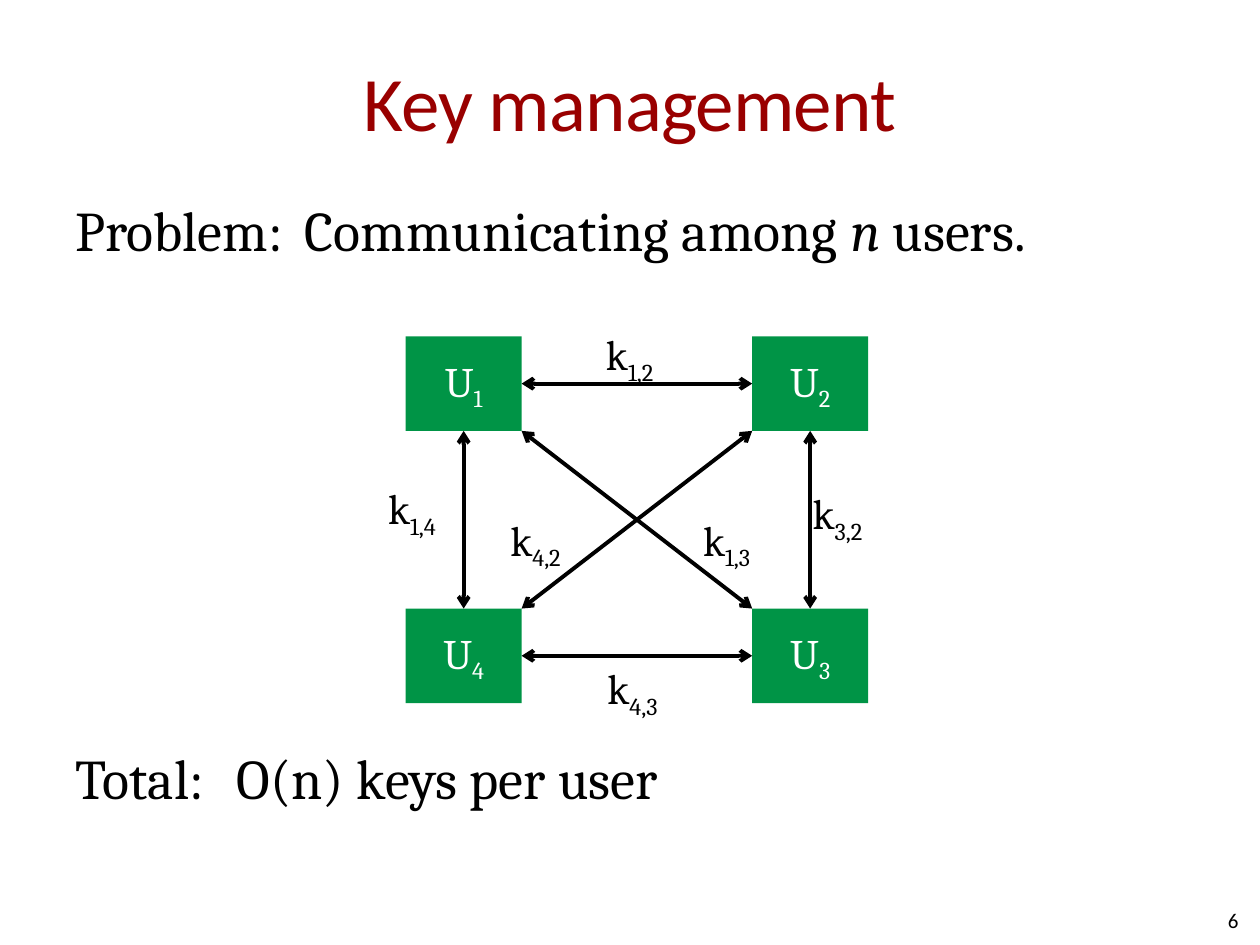
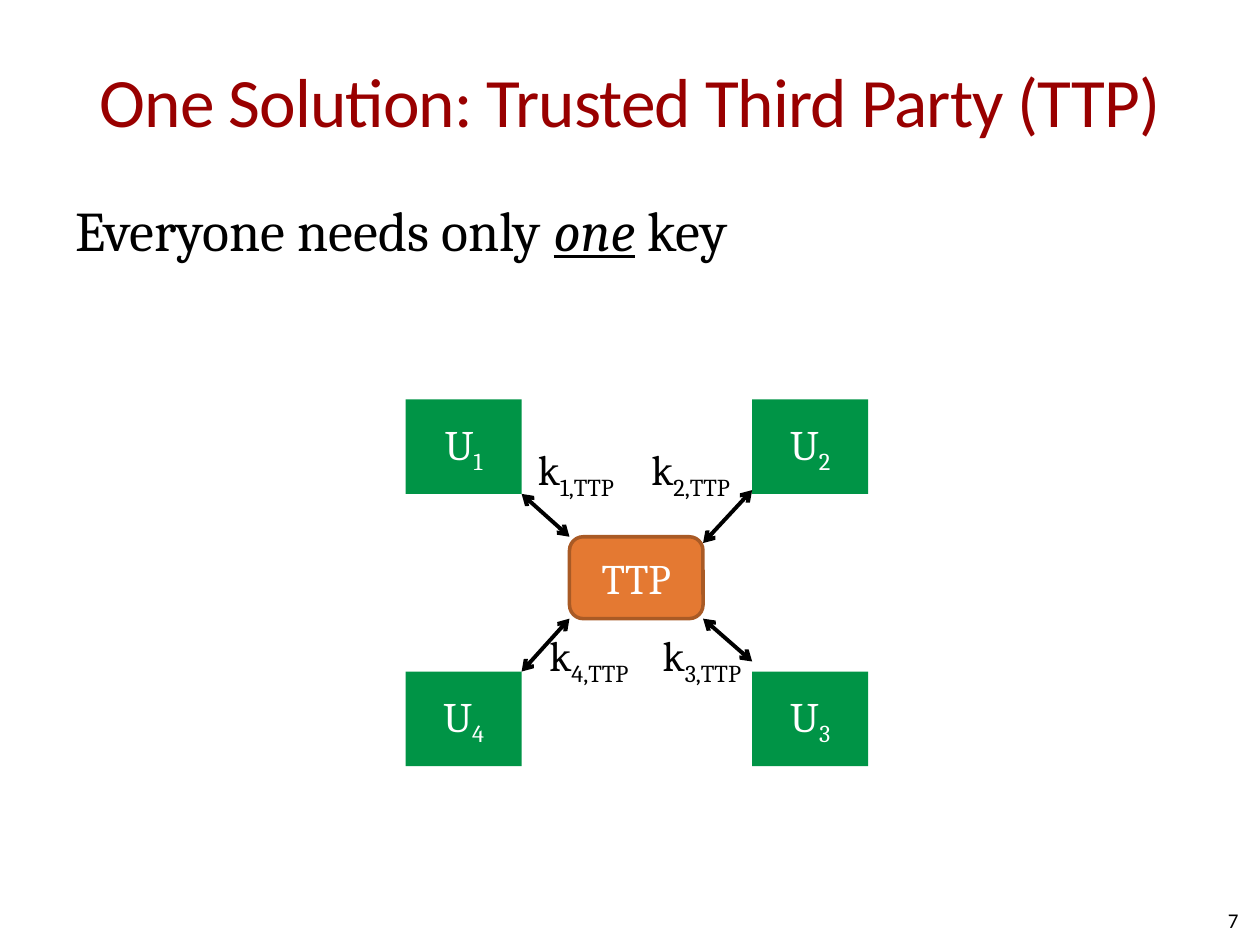
from dataclasses import dataclass

import lxml.etree
import pptx
import pptx.dml.color
import pptx.enum.shapes
import pptx.enum.text
import pptx.oxml.ns
import pptx.util

SHAPE = pptx.enum.shapes.MSO_SHAPE
ALIGN = pptx.enum.text.PP_ALIGN
ANCHOR = pptx.enum.text.MSO_ANCHOR
qn = pptx.oxml.ns.qn

# Shared style
RED, GREEN, ORANGE, BROWN = "990000", "009446", "E47932", "A95A25"
BLACK, WHITE = "000000", "FFFFFF"
HEAD_FONT, BODY_FONT = "Calibri", "Cambria"

# The slide is a grid of 100 columns by 75 rows
prs = pptx.Presentation()
prs.slide_width = pptx.util.Inches(10)
prs.slide_height = pptx.util.Inches(7.5)
COL, ROW = prs.slide_width / 100, prs.slide_height / 75

TOP, BOTTOM, LEFT, RIGHT = 0, 2, 1, 3  # connection sites of a rectangle


@dataclass
class Box:
    x: float
    y: float
    w: float
    h: float

    def emu(self) -> tuple[int, ...]:
        return (round(self.x * COL), round(self.y * ROW),
                round(self.w * COL), round(self.h * ROW))

    def corner(self, right: bool, bottom: bool, nudge: float = 0) -> tuple[float, float]:
        return self.x + self.w * right, self.y + self.h * bottom + nudge


@dataclass
class Piece:
    text: str
    italic: bool = False
    underline: bool = False
    subscript: bool = False


@dataclass
class Line:
    pieces: list[Piece]
    tab: float = 0      # tab stop, in columns
    before: float = 0   # space above, in points


@dataclass
class KeyLabel:
    x: float
    y: float
    index: str


@dataclass
class Spoke:
    user: int
    right: bool
    bottom: bool
    user_nudge: float = 0
    ttp_nudge: float = 0


TITLE_BOX = Box(5, 1.7, 90, 12.5)
BODY_BOX = Box(5, 15, 90, 52)
NUMBER_BOX = Box(75, 71, 23.3, 4)
TTP_BOX = Box(45.2, 42.6, 10.6, 6.5)


def rgb(value: str) -> pptx.dml.color.RGBColor:
    return pptx.dml.color.RGBColor.from_string(value)


# Text helpers
def write(p, pieces: list[Piece], size: float, font: str, color: str) -> None:
    for piece in pieces:
        r = p.add_run()
        r.text = piece.text
        r.font.size = pptx.util.Pt(size)
        r.font.name = font
        r.font.color.rgb = rgb(color)
        if piece.italic:
            r.font.italic = True
        if piece.underline:
            r.font.underline = True
        if piece.subscript:
            r.font._element.set("baseline", "-25000")


def indexed(letter: str, index: str) -> list[Piece]:
    return [Piece(letter), Piece(index, subscript=True)]


def no_insets(tf) -> None:
    tf.margin_left = tf.margin_right = tf.margin_top = tf.margin_bottom = 0


def add_line_of_text(slide, box: Box, text: str, size: float, color: str, align):
    """One vertically centred line in the heading font."""
    tf = slide.shapes.add_textbox(*box.emu()).text_frame
    no_insets(tf)
    tf.word_wrap = True
    tf.vertical_anchor = ANCHOR.MIDDLE
    p = tf.paragraphs[0]
    p.alignment = align
    write(p, [Piece(text)], size, HEAD_FONT, color)
    return p.runs[0]


def add_body(slide, lines: list[Line]) -> None:
    tf = slide.shapes.add_textbox(*BODY_BOX.emu()).text_frame
    tf.word_wrap = True
    for i, line in enumerate(lines):
        p = tf.add_paragraph() if i else tf.paragraphs[0]
        if line.before:
            p.space_before = pptx.util.Pt(line.before)
        if line.tab:
            tabs = lxml.etree.SubElement(p._p.get_or_add_pPr(), qn("a:tabLst"))
            lxml.etree.SubElement(tabs, qn("a:tab"), pos=str(round(line.tab * COL)), algn="l")
        write(p, line.pieces, 32, BODY_FONT, BLACK)


def add_key_label(slide, label: KeyLabel, width: float) -> None:
    tf = slide.shapes.add_textbox(*Box(label.x, label.y, width, 4).emu()).text_frame
    no_insets(tf)
    tf.word_wrap = False
    tf.auto_size = pptx.enum.text.MSO_AUTO_SIZE.SHAPE_TO_FIT_TEXT
    write(tf.paragraphs[0], indexed("k", label.index), 24, BODY_FONT, BLACK)


# Diagram helpers
def add_node(slide, kind, box: Box, pieces: list[Piece], fill: str, line: str = ""):
    sp = slide.shapes.add_shape(kind, *box.emu())
    sp.shadow.inherit = False
    sp.fill.solid()
    sp.fill.fore_color.rgb = rgb(fill)
    if line:
        sp.line.color.rgb = rgb(line)
        sp.line.width = pptx.util.Pt(2)
    else:
        sp.line.fill.background()
    tf = sp.text_frame
    no_insets(tf)
    tf.vertical_anchor = ANCHOR.MIDDLE
    tf.paragraphs[0].alignment = ALIGN.CENTER
    write(tf.paragraphs[0], pieces, 24, BODY_FONT, WHITE)
    return sp


def user_boxes(top: float) -> list[Box]:
    """Users 1 to 4, clockwise from the upper left."""
    left, right, bottom = 32.2, 59.7, top + 21.6
    places = [(left, top), (right, top), (right, bottom), (left, bottom)]
    return [Box(x, y, 9.2, 7.5) for x, y in places]


def add_users(slide, boxes: list[Box]) -> list:
    return [add_node(slide, SHAPE.RECTANGLE, box, indexed("U", str(n)), GREEN)
            for n, box in enumerate(boxes, 1)]


def add_arrow(slide, start: tuple[float, float] = (0, 0), end: tuple[float, float] = (0, 0)):
    cx = slide.shapes.add_connector(
        pptx.enum.shapes.MSO_CONNECTOR.STRAIGHT,
        round(start[0] * COL), round(start[1] * ROW),
        round(end[0] * COL), round(end[1] * ROW))
    cx.line.color.rgb = rgb(BLACK)
    cx.line.width = pptx.util.Pt(2.25)
    ln = cx.line._get_or_add_ln()
    for tag in ("a:headEnd", "a:tailEnd"):
        lxml.etree.SubElement(ln, qn(tag), type="arrow")
    lxml.etree.SubElement(cx._element.spPr, qn("a:effectLst"))
    return cx


def join(slide, first, first_site: int, second, second_site: int) -> None:
    cx = add_arrow(slide)
    cx.begin_connect(first, first_site)
    cx.end_connect(second, second_site)


def add_slide(title: str, title_size: float, number: int, body: list[Line]):
    slide = prs.slides.add_slide(prs.slide_layouts[6])
    r = add_line_of_text(slide, TITLE_BOX, title, title_size, RED, ALIGN.CENTER)
    r.font._element.set("spc", "-50")
    add_body(slide, body)
    add_line_of_text(slide, NUMBER_BOX, str(number), 12, BLACK, ALIGN.RIGHT)
    return slide


def key_management() -> None:
    slide = add_slide("Key management", 44, 6, [
        Line([Piece("Problem:\tCommunicating among "), Piece("n", italic=True),
              Piece(" users.")], tab=18.2),
        Line([Piece("Total:\tO(n) keys per user")], tab=12.8, before=275),
    ])
    boxes = user_boxes(26.7)
    u1, u2, u3, u4 = add_users(slide, boxes)

    # Sides of the square, then its diagonals
    join(slide, u1, BOTTOM, u4, TOP)
    join(slide, u1, RIGHT, u2, LEFT)
    join(slide, u4, RIGHT, u3, LEFT)
    join(slide, u3, TOP, u2, BOTTOM)
    add_arrow(slide, boxes[1].corner(False, True), boxes[3].corner(True, False))
    add_arrow(slide, boxes[0].corner(True, True), boxes[2].corner(False, False))

    for label in (KeyLabel(48.1, 26.1, "1,2"), KeyLabel(30.8, 38.3, "1,4"),
                  KeyLabel(64.5, 38.7, "3,2"), KeyLabel(48.2, 52.6, "4,3"),
                  KeyLabel(40.5, 40.8, "4,2"), KeyLabel(55.8, 40.8, "1,3")):
        add_key_label(slide, label, 4.7)


def trusted_third_party() -> None:
    slide = add_slide("One Solution: Trusted Third Party (TTP)", 39.6, 7, [
        Line([Piece("Everyone needs only "), Piece("one", italic=True, underline=True),
              Piece(" key")]),
    ])
    boxes = user_boxes(31.7)
    add_users(slide, boxes)
    add_node(slide, SHAPE.ROUNDED_RECTANGLE, TTP_BOX, [Piece("TTP")], ORANGE, BROWN)

    # Each user's inner corner to the nearest corner of the third party
    for s in (Spoke(1, False, False), Spoke(2, True, False, -0.3, 0.5),
              Spoke(3, True, True, -0.8), Spoke(4, False, True)):
        add_arrow(slide,
                  boxes[s.user - 1].corner(not s.right, not s.bottom, s.user_nudge),
                  TTP_BOX.corner(s.right, s.bottom, s.ttp_nudge))

    for label in (KeyLabel(42.7, 35.2, "1,TTP"), KeyLabel(51.7, 35.2, "2,TTP"),
                  KeyLabel(43.6, 50, "4,TTP"), KeyLabel(52.6, 50, "3,TTP")):
        add_key_label(slide, label, 7.4)


def main() -> None:
    key_management()
    trusted_third_party()
    prs.save("out.pptx")


if __name__ == "__main__":
    main()
